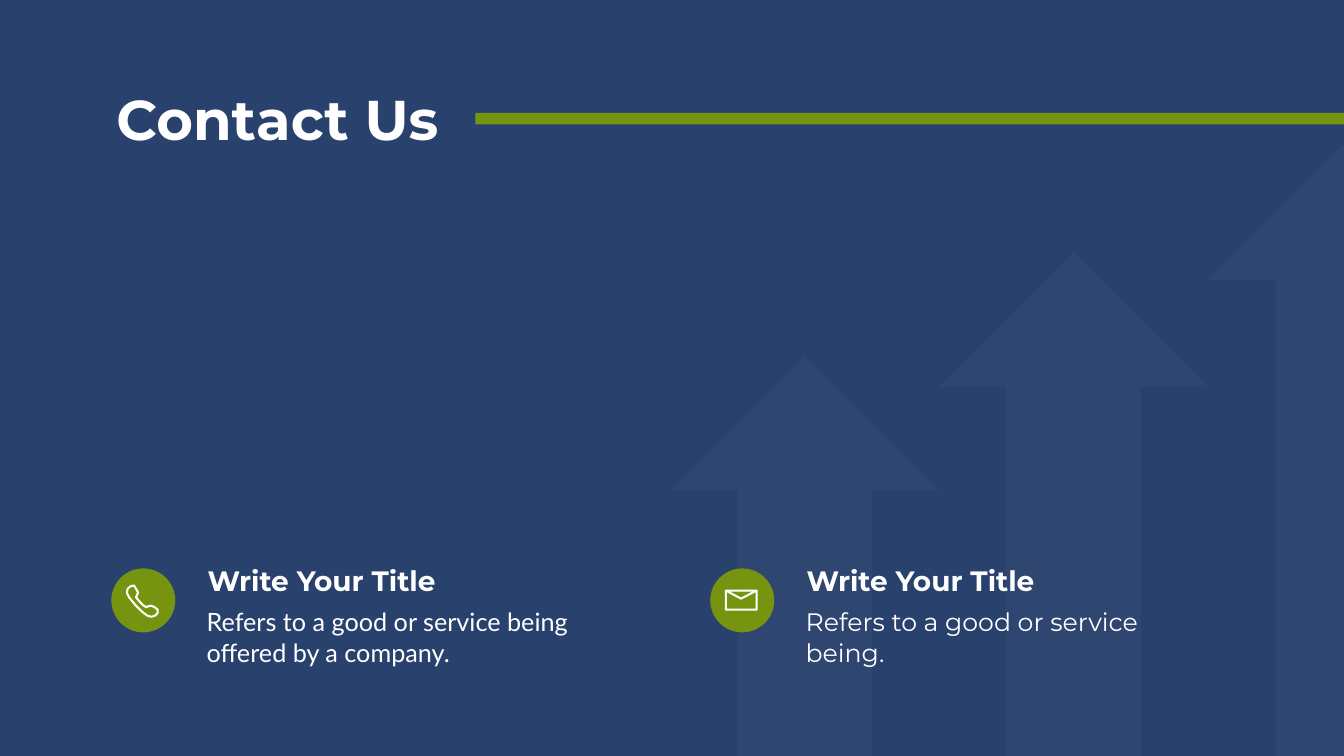
from lxml import etree
from pptx import Presentation
from pptx.dml.color import RGBColor
from pptx.enum.shapes import MSO_SHAPE
from pptx.enum.text import MSO_ANCHOR, MSO_AUTO_SIZE, PP_ALIGN
from pptx.oxml.ns import qn
from pptx.util import Pt

RECT, OVAL, ARROW = MSO_SHAPE.RECTANGLE, MSO_SHAPE.OVAL, MSO_SHAPE.UP_ARROW
TOP, LEFT, FIXED = MSO_ANCHOR.TOP, PP_ALIGN.LEFT, MSO_AUTO_SIZE.NONE
COLORS = {"navy": "122D5E", "green": "769410", "white": "FFFFFF"}
WIDE, HIGH = 1919.52, 1080

# Icon outlines in hundredths of an inch from the corner of the disc
PHONE = [(43, 34), (37, 36), (32, 41), (31, 49), (35, 57), (39, 62), (48, 73),
         (60, 85), (65, 89), (72, 94), (80, 96), (88, 93), (92, 88), (92, 82),
         (86, 77), (79, 74), (74, 75), (69, 77), (63, 73), (57, 67), (52, 61),
         (49, 57), (51, 53), (53, 48), (50, 42), (45, 34)]
MAIL = [(31, 44), (61, 60), (92, 44), (92, 82), (31, 82), (31, 44), (92, 44)]
UNIT = Pt(0.72)

deck = Presentation()
deck.slide_width, deck.slide_height = Pt(WIDE), Pt(HIGH)
slide = deck.slides.add_slide(deck.slide_layouts.get_by_name("Comparison"))
shapes = slide.shapes
title, head_a, body_a, head_b, body_b = slide.placeholders


def draw(kind, x, y, w, h, color, alpha=100):
    shape = shapes.add_shape(kind, Pt(x), Pt(y), Pt(w), Pt(h))
    shape.shadow.inherit = False
    shape.line.fill.background()
    shape.fill.solid()
    shape.fill.fore_color.rgb = RGBColor.from_string(COLORS[color])
    if alpha < 100:
        tone = shape.fill._xPr.find(".//" + qn("a:srgbClr"))
        etree.SubElement(tone, qn("a:alpha"), val=str(alpha * 1000))
    return shape


def write(holder, text, x, y, w, h, size, font, bold=False, pad=(7.2, 3.6)):
    holder.left, holder.top, holder.width, holder.height = map(Pt, (x, y, w, h))
    frame = holder.text_frame
    frame.text = text
    frame.word_wrap, frame.auto_size = True, FIXED
    frame.vertical_anchor = TOP
    frame.margin_left = frame.margin_right = Pt(pad[0])
    frame.margin_top = frame.margin_bottom = Pt(pad[1])
    para = frame.paragraphs[0]
    props = para._p.get_or_add_pPr()
    props.set("marL", "0")
    props.set("indent", "0")
    etree.SubElement(props, qn("a:buNone"))
    para.alignment, para.line_spacing, para.space_before = LEFT, 1.0, Pt(0)
    para.font.size, para.font.name, para.font.bold = Pt(size), font, bold
    para.font.color.rgb = RGBColor.from_string(COLORS["white"])


# Backdrop, placed behind the text
back = [draw(RECT, 0, 0, WIDE, HIGH, "navy", 90)]
for i, top in enumerate((509, 361, 207)):
    back.append(draw(ARROW, 957 + i * 384.2, top, 384.2, HIGH - top, "white", 3))
for i, shape in enumerate(back):
    shapes._spTree.insert(2 + i, shape._element)

# Heading
write(title, "Contact Us", 159, 117.4, 520, 104.4, 80, "Montserrat", True)
draw(RECT, 679, 161.3, WIDE - 679, 16.5, "green")

# Contact entries
entries = [
    (head_a, body_a, "Refers to a good or service being offered by a company.",
     "Lato", PHONE),
    (head_b, body_b, "Refers to a good or service being.", "Montserrat", MAIL),
]
for i, (head, body, text, font, icon) in enumerate(entries):
    x, y = 159 + i * 855.4, 812
    write(head, "Write Your Title", x + 130.3, y - 10, 408, 55.4, 40,
          "Montserrat", True)
    write(body, text, x + 118.8, y + 46.2, 628, 104.4, 36, font,
          pad=(17.3, 8.6))
    draw(OVAL, x, y, 91.4, 91.4, "green")
    path = shapes.build_freeform(*icon[0], scale=UNIT)
    path.add_line_segments(icon[1:], close=True)
    sign = path.convert_to_shape(Pt(x), Pt(y))
    sign.shadow.inherit = False
    sign.fill.background()
    sign.line.color.rgb = RGBColor.from_string(COLORS["white"])
    sign.line.width = Pt(2.9)
    etree.SubElement(sign.line._ln, qn("a:round"))

deck.save("out.pptx")
